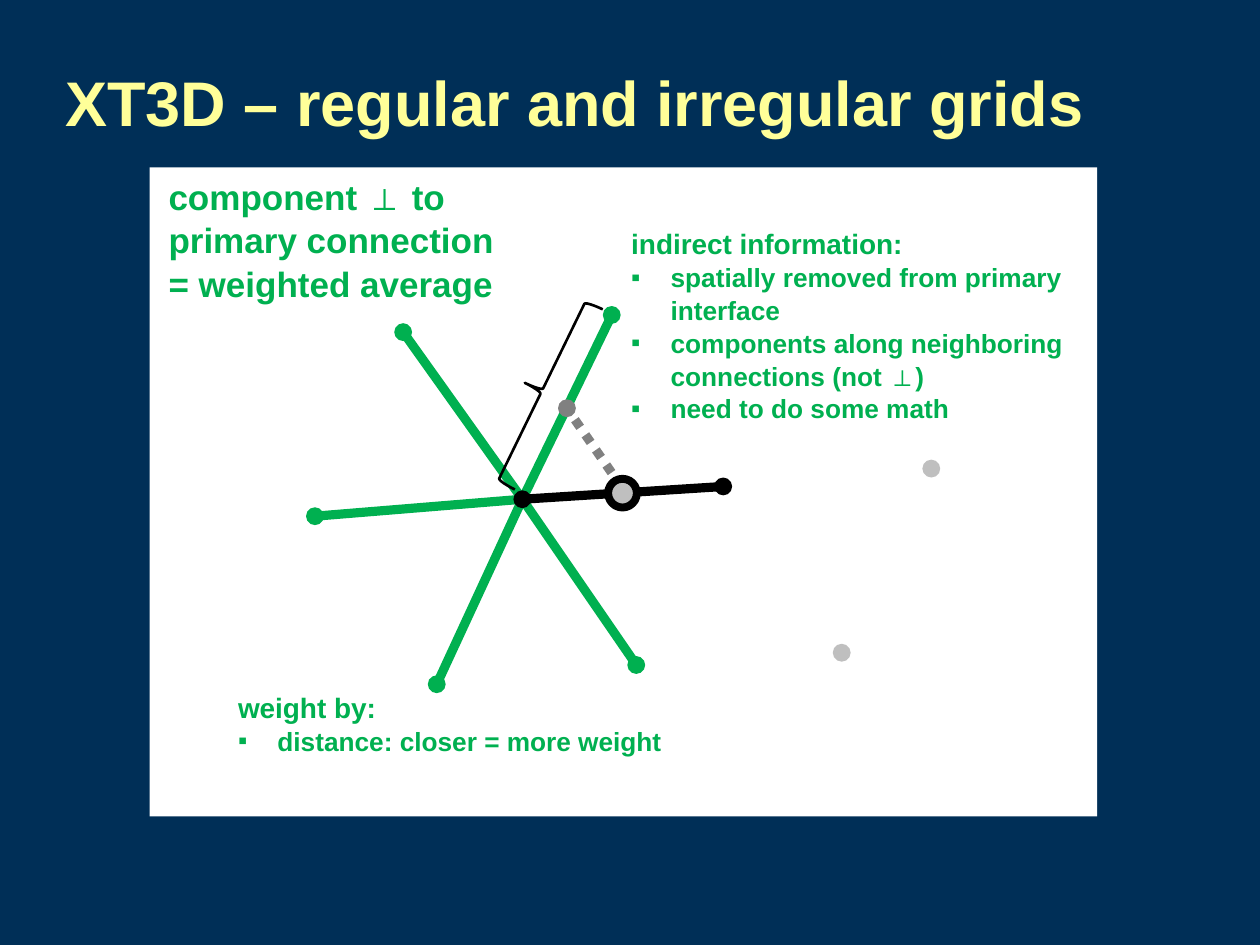
from typing import NamedTuple, Optional

from lxml.etree import SubElement
from pptx import Presentation
from pptx.dml.color import RGBColor
from pptx.enum.dml import MSO_LINE
from pptx.enum.shapes import MSO_CONNECTOR, MSO_SHAPE
from pptx.enum.text import MSO_ANCHOR, MSO_AUTO_SIZE, PP_ALIGN
from pptx.oxml.ns import qn
from pptx.util import Pt

NAVY = RGBColor(0x00, 0x2F, 0x57)
YELLOW = RGBColor(0xFF, 0xFF, 0x99)
GREEN = RGBColor(0x00, 0xB0, 0x50)
WHITE = RGBColor(0xFF, 0xFF, 0xFF)
BLACK = RGBColor(0x00, 0x00, 0x00)
GRAY = RGBColor(0x80, 0x80, 0x80)
SILVER = RGBColor(0xBF, 0xBF, 0xBF)
FONT = "Arial"
DOT_SIZE = 10.2
LINE_WIDTH = 5.25
LIST_INDENT = 22.5


class Point(NamedTuple):
    x: float
    y: float


class Frame(NamedTuple):
    left: float
    top: float
    width: float
    height: float


class Link(NamedTuple):
    start: Point
    end: Point
    color: RGBColor
    dotted: bool = False


class Dot(NamedTuple):
    center: Point
    color: RGBColor
    size: float = DOT_SIZE
    outline: Optional[RGBColor] = None


class Line(NamedTuple):
    text: str
    size: float
    bullet: bool = False


HUB = Point(298.5, 285.3)
PRIMARY = Point(413.3, 278)
INTERFACE = Point(355.7, 281.8)
MIDPOINT = Point(324, 233.3)
UPPER_RIGHT = Point(349.6, 180)
LOWER_RIGHT = Point(363.6, 380)
LEFT_NEIGHBORS = [Point(230.4, 189.8), Point(180, 295), Point(249.6, 391)]
FAR_CELLS = [Point(532.2, 267.8), Point(481, 373)]


def place(shape, frame: Frame) -> None:
    shape.left, shape.top, shape.width, shape.height = map(Pt, frame)


def add_shape(page, kind, frame: Frame, fill: Optional[RGBColor],
              outline: Optional[RGBColor] = None, width: float = 0):
    shape = page.shapes.add_shape(kind, *map(Pt, frame))
    shape.shadow.inherit = False
    if fill is None:
        shape.fill.background()
    else:
        shape.fill.solid()
        shape.fill.fore_color.rgb = fill
    if outline is None:
        shape.line.fill.background()
    else:
        shape.line.color.rgb = outline
        shape.line.width = Pt(width)
    return shape


def add_link(page, link: Link) -> None:
    connector = page.shapes.add_connector(
        MSO_CONNECTOR.STRAIGHT, *map(Pt, link.start + link.end))
    SubElement(connector.element.spPr, qn("a:effectLst"))
    connector.line.color.rgb = link.color
    connector.line.width = Pt(LINE_WIDTH)
    if link.dotted:
        connector.line.dash_style = MSO_LINE.ROUND_DOT


def add_dot(page, dot: Dot) -> None:
    frame = Frame(dot.center.x - dot.size / 2, dot.center.y - dot.size / 2,
                  dot.size, dot.size)
    add_shape(page, MSO_SHAPE.OVAL, frame, dot.color, dot.outline, 4.5)


def set_bullet(para, bullet: bool) -> None:
    properties = para._p.get_or_add_pPr()
    indent = Pt(LIST_INDENT) if bullet else 0
    properties.set("marL", str(indent))
    properties.set("indent", str(-indent))
    if bullet:
        SubElement(properties, qn("a:buFont"), typeface=FONT)
        SubElement(properties, qn("a:buChar"), char="▪")
    else:
        SubElement(properties, qn("a:buNone"))


def write(box, lines: list[Line], color: RGBColor, anchor=MSO_ANCHOR.TOP) -> None:
    frame = box.text_frame
    frame.word_wrap = True
    frame.auto_size = MSO_AUTO_SIZE.NONE
    frame.vertical_anchor = anchor
    for index, line in enumerate(lines):
        para = frame.add_paragraph() if index else frame.paragraphs[0]
        set_bullet(para, line.bullet)
        para.alignment = PP_ALIGN.LEFT
        para.space_before = Pt(0)
        para.line_spacing = 1.04
        span = para.add_run()
        span.text = line.text
        span.font.name = FONT
        span.font.size = Pt(line.size)
        span.font.bold = True
        span.font.color.rgb = color


def bring_to_front(page, box) -> None:
    page.shapes[-1].element.addnext(box.element)


def main() -> None:
    deck = Presentation()
    deck.slide_width, deck.slide_height = Pt(720), Pt(540)
    page = deck.slides.add_slide(deck.slide_layouts[3])
    page.background.fill.solid()
    page.background.fill.fore_color.rgb = NAVY
    title, weight_list, indirect_list = page.placeholders

    place(title, Frame(30.2, 12.2, 653.8, 90))
    write(title, [Line("XT3D – regular and irregular grids", 36)],
          YELLOW, MSO_ANCHOR.MIDDLE)

    add_shape(page, MSO_SHAPE.RECTANGLE, Frame(85.5, 95.7, 541.5, 370.8), WHITE)

    neighbors = LEFT_NEIGHBORS + [LOWER_RIGHT, UPPER_RIGHT]
    add_link(page, Link(Point(361.4, 287.3), MIDPOINT, GRAY, dotted=True))
    for neighbor in neighbors:
        add_link(page, Link(HUB, neighbor, GREEN))
    add_link(page, Link(HUB, PRIMARY, BLACK))

    for center in (HUB, PRIMARY):
        add_dot(page, Dot(center, BLACK))
    for center in FAR_CELLS:
        add_dot(page, Dot(center, SILVER))
    add_dot(page, Dot(INTERFACE, SILVER, 16.4, BLACK))

    average = page.shapes.add_textbox(*map(Pt, Frame(89.2, 95.7, 203, 80)))
    write(average, [Line("component ⊥ to primary connection", 20),
                    Line("= weighted average", 20)], GREEN)

    bring_to_front(page, weight_list)
    place(weight_list, Frame(128.8, 390.2, 291.6, 44.6))
    write(weight_list, [Line("weight by:", 16),
                        Line("distance: closer = more weight", 15, True)], GREEN)

    brace = add_shape(page, MSO_SHAPE.LEFT_BRACE, Frame(298.8, 166.3, 21.6, 114.5),
                      None, BLACK, 1.5)
    brace.adjustments[0] = 0.08
    brace.rotation = 26

    bring_to_front(page, indirect_list)
    place(indirect_list, Frame(353.5, 125.3, 272.9, 117.4))
    indirect_list.fill.solid()
    indirect_list.fill.fore_color.rgb = WHITE
    write(indirect_list, [
        Line("indirect information:", 16),
        Line("spatially removed from primary interface", 15, True),
        Line("components along neighboring connections (not ⊥)", 15, True),
        Line("need to do some math", 15, True),
    ], GREEN)

    for center in neighbors:
        add_dot(page, Dot(center, GREEN))
    add_dot(page, Dot(MIDPOINT, GRAY))

    deck.save("out.pptx")


if __name__ == "__main__":
    main()
